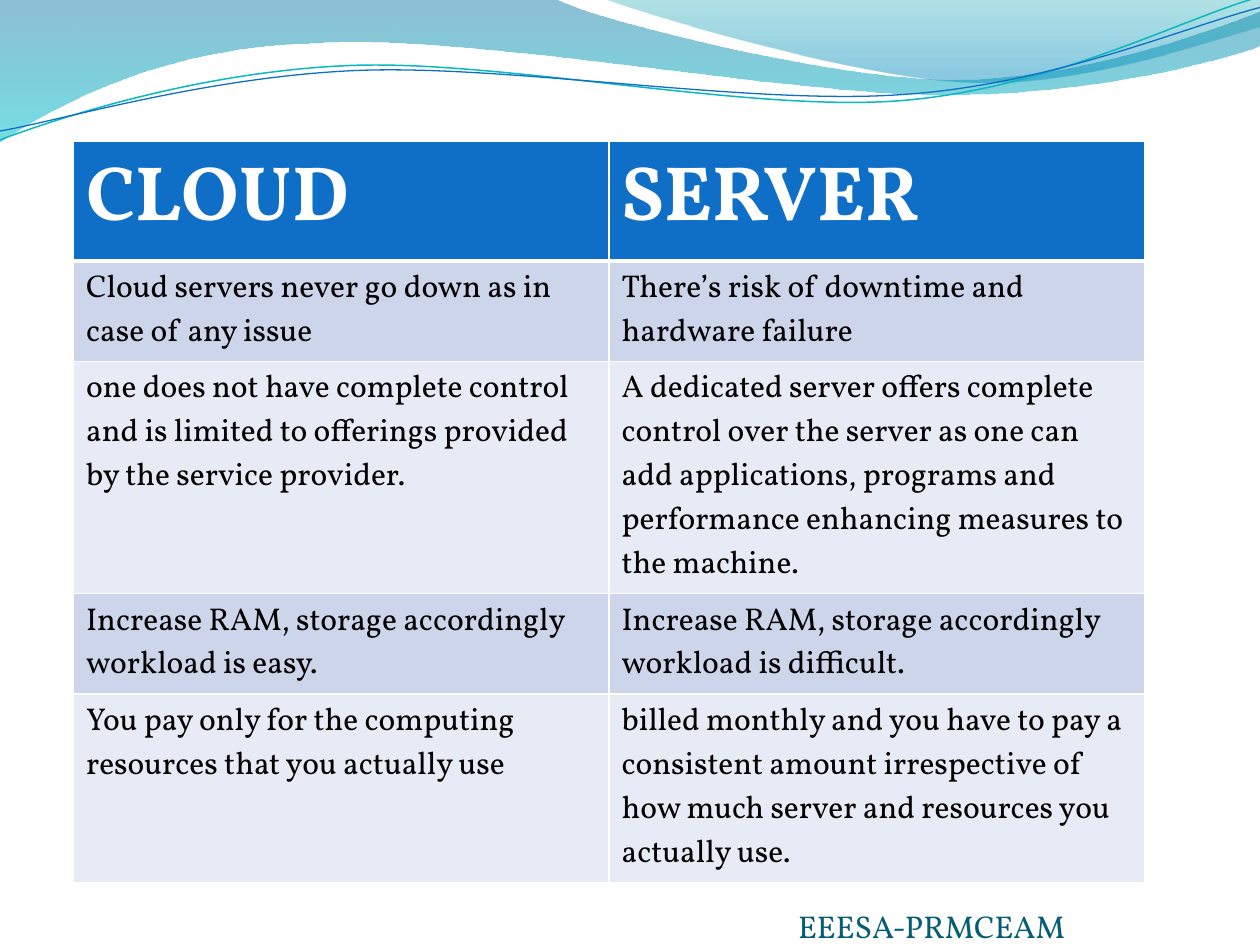
import math

import pptx
import pptx.dml.color
import pptx.enum.text
import pptx.oxml
import pptx.oxml.ns
import pptx.util
from pptx.util import Inches

FONT = "Vollkorn"
BLUE, WHITE = "0F6FC6", "FFFFFF"
BANDS = ["CCD5EA", "E7EBF5"]

# Outlines in inches: start point, then lines (2 numbers) or Bezier curves (6)
BROAD_WAVE = [
    (0, 0), (4.4, -0.01),
    (4.76, 0.17, 6.64, 0.63, 7.58, 0.63), (8.53, 0.63, 9.58, 0.26, 10, 0.09),
    (10.01, 0.36),
    (9.83, 0.44, 8.7, 0.76, 7.46, 0.75), (6.22, 0.75, 3.82, 0.28, 2.57, 0.34),
    (1.29, 0.36, 0.46, 0.83, -0.01, 1.13), (0, 0),
]
RIGHT_WAVE = [
    (4.79, -0.01),
    (5.09, 0.11, 6.82, 0.62, 7.69, 0.65), (8.56, 0.69, 9.61, 0.32, 10, 0.21),
    (10, 0), (4.79, -0.01),
]
TEAL_LINE = [
    (0, 1.11),
    (0.48, 0.93, 1.58, 0.57, 2.77, 0.52), (3.95, 0.47, 5.93, 0.89, 7.13, 0.8),
    (8.33, 0.71, 9.38, 0.15, 9.98, -0.02),
]
BLUE_LINE = [
    (0, 1.04),
    (0.47, 0.96, 1.64, 0.61, 2.83, 0.56), (4.03, 0.51, 5.97, 0.84, 7.17, 0.75),
    (8.36, 0.67, 9.41, 0.21, 10, 0.06),
]

COMPARISON = [
    ("CLOUD", "SERVER"),
    ("Cloud servers never go down as in case of any issue",
     "There’s risk of downtime and hardware failure"),
    ("one does not have complete control and is limited to offerings "
     "provided by the service provider.",
     "A dedicated server offers complete control over the server as one can "
     "add applications, programs and performance enhancing measures to the machine."),
    ("Increase RAM, storage accordingly workload is easy.",
     "Increase RAM, storage accordingly workload is difficult."),
    ("You pay only for the computing resources that you actually use",
     "billed monthly and you have to pay a consistent amount irrespective of "
     "how much server and resources you actually use."),
]
ROW_HEIGHTS = [0.88, 0.74, 1.53, 0.74, 1.24]


def color(hex_value):
    return pptx.dml.color.RGBColor.from_string(hex_value)


def set_all(target, values):
    for name, value in values.items():
        setattr(target, name, value)


def write(text_frame, text, size, hex_value, bold=False):
    run = text_frame.paragraphs[0].add_run()
    run.text = text
    set_all(run.font, {"name": FONT, "size": pptx.util.Pt(size), "bold": bold})
    run.font.color.rgb = color(hex_value)


def turn(outline, center, degrees):
    cos, sin = math.cos(math.radians(degrees)), math.sin(math.radians(degrees))
    cx, cy = center
    turned = []
    for segment in outline:
        points = zip(segment[::2], segment[1::2])
        turned.append(sum(((cx + (x - cx) * cos - (y - cy) * sin,
                            cy + (x - cx) * sin + (y - cy) * cos)
                           for x, y in points), ()))
    return turned


def add_outline(slide, outline, closed):
    points = [(Inches(x), Inches(y)) for segment in outline
              for x, y in zip(segment[::2], segment[1::2])]
    builder = slide.shapes.build_freeform(*points[0])
    builder.add_line_segments(points[1:], close=closed)
    shape = builder.convert_to_shape()
    shape.shadow.inherit = False

    # Join each three control points into one Bezier curve
    qn = pptx.oxml.ns.qn
    vertices = iter(list(shape.element.spPr.iter(qn("a:lnTo"))))
    for segment in outline[1:]:
        first = next(vertices)
        if len(segment) == 6:
            first.tag = qn("a:cubicBezTo")
            for vertex in (next(vertices), next(vertices)):
                first.append(vertex[0])
                vertex.getparent().remove(vertex)
    return shape


def add_wave(slide, outline, stops):
    wave = add_outline(slide, outline, closed=True)
    wave.line.fill.background()
    wave.fill.gradient()
    wave.fill.gradient_angle = 270  # top to bottom
    for stop, (position, hex_value, _) in zip(wave.fill.gradient_stops, stops):
        stop.position = position
        stop.color.rgb = color(hex_value)
    fills = wave.element.spPr.iter(pptx.oxml.ns.qn("a:srgbClr"))
    for fill, (_, _, opacity) in zip(fills, stops):
        fill.append(pptx.oxml.parse_xml(
            f'<a:alpha {pptx.oxml.ns.nsdecls("a")} val="{opacity * 1000}"/>'))


def add_wave_line(slide, outline, center, hex_value, width):
    tilt = -2.7
    line = add_outline(slide, turn(outline, center, -tilt), closed=False)
    line.rotation = tilt
    line.fill.background()
    line.line.color.rgb = color(hex_value)
    line.line.width = pptx.util.Pt(width)


def add_borders(cell, widths):
    properties = cell._tc.get_or_add_tcPr()
    for side, width in widths.items():
        properties.append(pptx.oxml.parse_xml(
            f'<a:ln{side} {pptx.oxml.ns.nsdecls("a")} w="{pptx.util.Pt(width)}">'
            f'<a:solidFill><a:srgbClr val="{WHITE}"/></a:solidFill></a:ln{side}>'))


def add_comparison(slide):
    frame = slide.shapes.add_table(
        len(COMPARISON), 2, Inches(7 / 12), Inches(1.12), Inches(8.5), Inches(5.27))
    table = frame.table
    for column in table.columns:
        column.width = Inches(4.25)
    for r, (texts, height) in enumerate(zip(COMPARISON, ROW_HEIGHTS)):
        table.rows[r].height = Inches(height)
        header = r == 0
        for c, text in enumerate(texts):
            cell = table.cell(r, c)
            # A thick rule parts the header from the body
            add_borders(cell, {"L": 1, "R": 1, "T": 3 if r == 1 else 1,
                               "B": 3 if header else 1})
            cell.fill.solid()
            cell.fill.fore_color.rgb = color(BLUE if header else BANDS[(r - 1) % 2])
            if header:
                write(cell.text_frame, text, 44, WHITE, bold=True)
            else:
                write(cell.text_frame, text, 18, "000000")
    frame.height = Inches(5.27)


def add_footer(slide, text):
    frame = slide.shapes.add_textbox(
        Inches(19 / 3), Inches(7.1), Inches(11 / 3), Inches(0.4)).text_frame
    set_all(frame, {"word_wrap": True, "margin_left": 0, "margin_right": 0,
                    "margin_top": 0, "margin_bottom": 0,
                    "vertical_anchor": pptx.enum.text.MSO_ANCHOR.BOTTOM})
    write(frame, text, 18, "045D75")


def main():
    deck = pptx.Presentation()
    set_all(deck, {"slide_width": Inches(10), "slide_height": Inches(7.5)})
    slide = deck.slides.add_slide(deck.slide_layouts[6])

    # Waves along the top edge
    add_wave(slide, BROAD_WAVE, [(0, "0074A1", 45), (1, "00C6CF", 55)])
    add_wave(slide, RIGHT_WAVE, [(0, "00A1A9", 30), (0.8, "008BBF", 45)])
    add_wave_line(slide, TEAL_LINE, (4.99, 0.58), "0AB8BF", 0.85)
    add_wave_line(slide, BLUE_LINE, (5, 0.59), BLUE, 0.75)

    # Content
    add_comparison(slide)
    add_footer(slide, "EEESA-PRMCEAM")
    deck.save("out.pptx")


if __name__ == "__main__":
    main()
